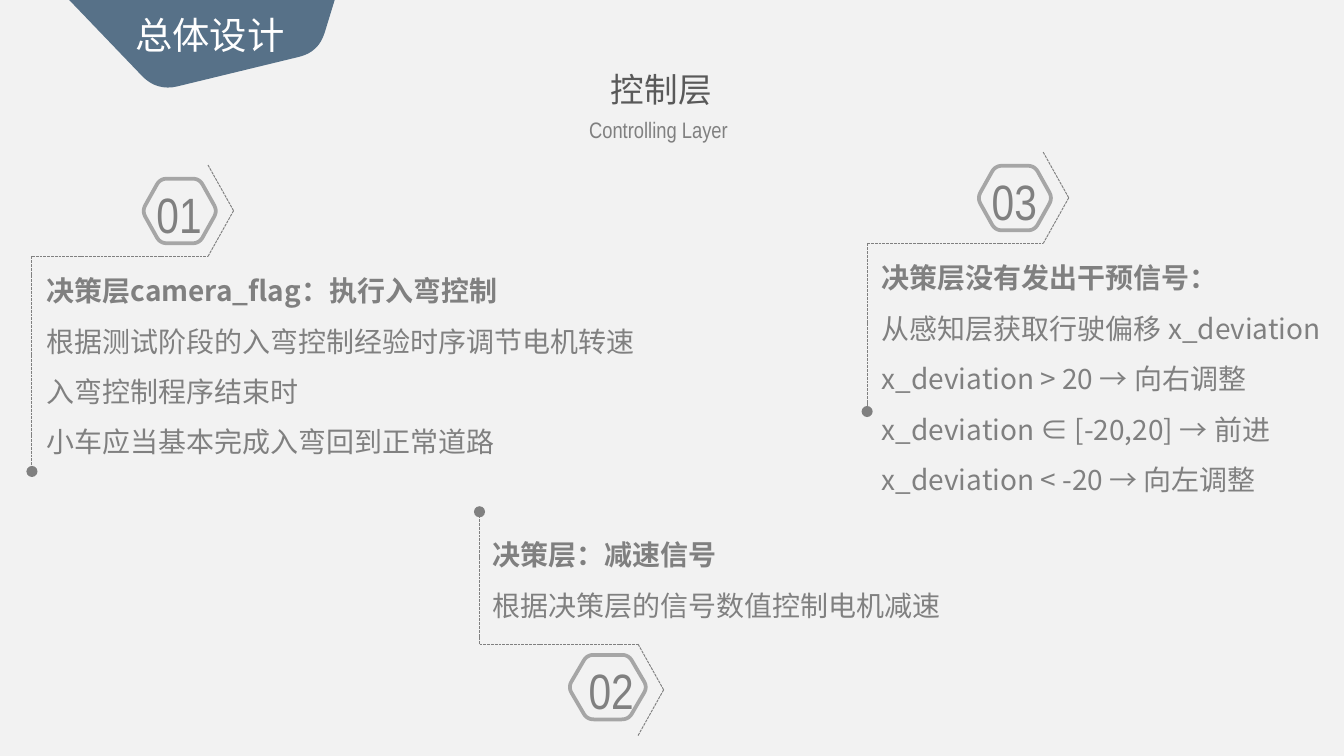
from lxml.etree import SubElement
from pptx import Presentation
from pptx.dml.color import RGBColor
from pptx.enum.dml import MSO_LINE
from pptx.enum.shapes import MSO_CONNECTOR
from pptx.enum.text import MSO_ANCHOR, MSO_AUTO_SIZE, PP_ALIGN
from pptx.oxml.ns import qn
from pptx.util import Inches, Pt
from math import dist

# The grid has 100 columns and 56.25 rows, each a tenth of an inch.
CELL = Inches(0.1)
COLS, ROWS = 100, 56.25
HUES = {"back": "F2F2F2", "flag": "577188", "white": "FFFFFF",
        "head": "595959", "text": "808080", "ring": "A6A6A6"}
SANS, SLIM, ROBO = "Noto Sans CJK SC", "Arial Narrow", "Roboto Condensed"


def hue(key):
    """Look up a colour."""
    return RGBColor.from_string(HUES[key])


def grid(*nums):
    """Turn grid units into lengths."""
    return [round(num * CELL) for num in nums]


def place(shape, box):
    """Move a shape to a box on the grid."""
    shape.left, shape.top, shape.width, shape.height = grid(*box)


def write(shape, lines, size, font, color, align=PP_ALIGN.CENTER,
          pad=(0.1, 0.05), gap=None):
    """Fill a text shape; each line is a (text, bold) pair."""
    frame = shape.text_frame
    frame.word_wrap = True
    frame.auto_size = MSO_AUTO_SIZE.SHAPE_TO_FIT_TEXT
    frame.vertical_anchor = MSO_ANCHOR.TOP
    frame.margin_left = frame.margin_right = Inches(pad[0])
    frame.margin_top = frame.margin_bottom = Inches(pad[1])
    for num, (text, bold) in enumerate(lines):
        para = frame.add_paragraph() if num else frame.paragraphs[0]
        para.alignment = align
        if gap:
            para.line_spacing = gap
        run = para.add_run()
        run.text = text
        run.font.size, run.font.bold = Pt(size), bold
        run.font.name = font
        run.font.color.rgb = hue(color)
        SubElement(run.font._element, qn("a:ea")).set("typeface", font)


def label(slide, box, *args, **style):
    """Add a text box on the grid."""
    write(slide.shapes.add_textbox(*grid(*box)), *args, **style)


def link(slide, start, end, dot=False):
    """Draw a dashed line, with a dot at its end if asked."""
    line = slide.shapes.add_connector(MSO_CONNECTOR.STRAIGHT,
                                      *grid(*start, *end))
    line.line.color.rgb = hue("text")
    line.line.width = Pt(0.5)
    line.line.dash_style = MSO_LINE.SQUARE_DOT
    props = line._element.spPr
    if dot:
        SubElement(props.find(qn("a:ln")), qn("a:tailEnd")).set("type", "oval")
    SubElement(props, qn("a:effectLst"))


def bend(prev, spot, post, cut):
    """Give the points that round one corner."""
    ends = []
    for far in (prev, post):
        part = cut / dist(spot, far)
        ends.append([a + (b - a) * part for a, b in zip(spot, far)])
    steps = [num / 8 for num in range(9)]
    return [[(1 - t) ** 2 * a + 2 * t * (1 - t) * b + t * t * c
             for a, b, c in zip(ends[0], spot, ends[1])] for t in steps]


def outline(slide, spots, cuts):
    """Draw a closed outline whose corners are cut round."""
    points = []
    for num, (spot, cut) in enumerate(zip(spots, cuts)):
        post = spots[(num + 1) % len(spots)]
        points += bend(spots[num - 1], spot, post, cut) if cut else [spot]
    points = [grid(*point) for point in points]
    form = slide.shapes.build_freeform(*points[0])
    form.add_line_segments(points[1:], close=True)
    shape = form.convert_to_shape()
    shape.shadow.inherit = False
    return shape


def banner(slide, box, text):
    """Draw the corner flag with the slide title on it."""
    x, y, w, h = box
    spots = [(0, 0), (1, 0), (0.94, 0.57), (0.33, 1)]
    flag = outline(slide, [(x + a * w, y + b * h) for a, b in spots],
                   (0, 0, 1.5, 1.6))
    flag.fill.solid()
    flag.fill.fore_color.rgb = hue("flag")
    flag.line.fill.background()
    title = slide.shapes.title
    place(title, (x + 0.18 * w, y + 0.06 * h, 0.7 * w, 0.64 * h))
    write(title, [(text, False)], 20, ROBO, "white")
    # The title lies above the flag.
    flag._element.addnext(title._element)


def heading(slide, box, text, sub):
    """Write the centred heading and its subtitle."""
    x, y, w, h = box
    label(slide, (x, y, w, 0.62 * h), [(text, False)], 18, SANS, "head")
    label(slide, (x + 3.8, y + 0.54 * h, 14.4, 0.46 * h), [(sub, False)],
          12, SLIM, "text")


def badge(slide, mid, wide, text, shift):
    """Draw a rounded hexagon around a number."""
    x, y = mid
    half = wide / 2 + 0.1
    top, side = 2.4, 0.27 * wide
    ring = outline(slide, [(x - half, y), (x - side, y - top),
                           (x + side, y - top), (x + half, y),
                           (x + side, y + top), (x - side, y + top)],
                   [0.5] * 6)
    ring.fill.background()
    ring.line.color.rgb = hue("ring")
    ring.line.width = Pt(2)
    span = wide + 1.1
    label(slide, (x - span / 2 + shift, y - 2.7, span, 5.8),
          [(text, False)], 26.6, SLIM, "text", pad=(0.13, 0.07))


def card(slide, box, size, num, lines, flip=False, wide=5.4):
    """Draw a bracket with its badge and text; flip puts the badge below."""
    x, y, w, h = box
    turn, far, way = (y + h, y, 1) if flip else (y, y + h, -1)
    tip, edge = (x + w + 1.9, turn + 3.4 * way), x + w
    link(slide, (x, turn), (edge, turn))
    link(slide, (x, turn), (x, far), dot=True)
    link(slide, (edge, turn), tip)
    link(slide, tip, (edge, turn + 6.8 * way))
    badge(slide, (edge - (2.25 if flip else 2.1),
                  turn + (3.2 if flip else -3.38)), wide, num,
          0.25 if flip else -0.05)
    label(slide, (x - (0.3 if flip else 0.2), y if flip else y - 0.65, *size),
          [(text, not row) for row, text in enumerate(lines)],
          15, SANS, "text", align=PP_ALIGN.LEFT, pad=(0.13, 0.07), gap=1.5)


def main():
    """Build the slide."""
    deck = Presentation()
    deck.slide_width, deck.slide_height = grid(COLS, ROWS)
    slide = deck.slides.add_slide(deck.slide_layouts[5])
    slide.background.fill.solid()
    slide.background.fill.fore_color.rgb = hue("back")
    banner(slide, (5.15, 0, 19.75, 6.8), "总体设计")
    heading(slide, (38, 4.65, 22.4, 6.5), "控制层", "Controlling Layer")
    card(slide, (2.38, 19.08, 13.1, 16), (47.3, 16), "01",
         ["决策层camera_flag：执行入弯控制",
          "根据测试阶段的入弯控制经验时序调节电机转速",
          "入弯控制程序结束时", "小车应当基本完成入弯回到正常道路"])
    card(slide, (35.68, 38.08, 11.8, 9.85), (36.9, 12.3), "02",
         ["决策层：减速信号", "根据决策层的信号数值控制电机减速"],
         flip=True, wide=5.7)
    card(slide, (64.52, 18.12, 13.1, 12.5), (36.1, 19.8), "03",
         ["决策层没有发出干预信号：", "从感知层获取行驶偏移 x_deviation",
          "x_deviation > 20 → 向右调整", "x_deviation ∈ [-20,20] → 前进",
          "x_deviation < -20 → 向左调整"])
    deck.save("out.pptx")


main()
